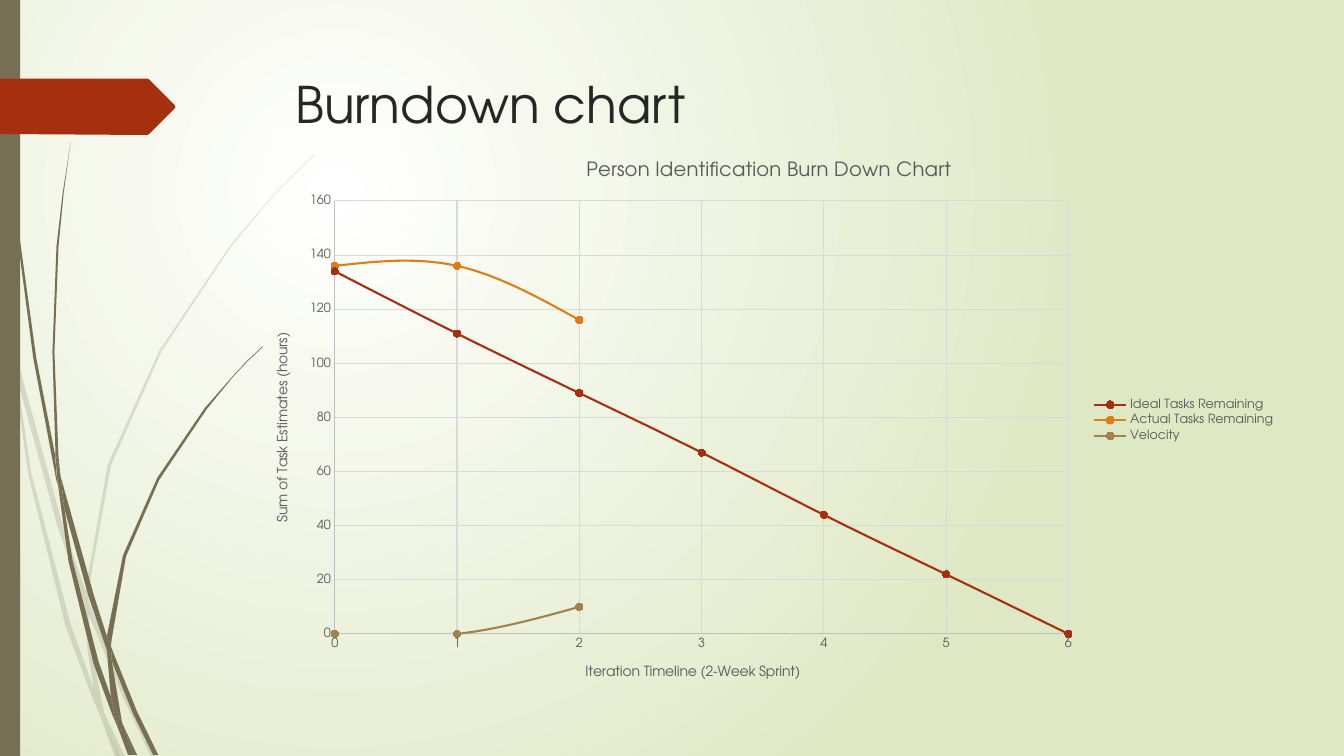
"""Build a slide with a burndown chart."""
import pptx
import pptx.util
import pptx.dml.color
import pptx.chart.data
import pptx.enum.chart
import pptx.enum.shapes
import pptx.oxml
import pptx.oxml.ns

Inches = pptx.util.Inches
Pt = pptx.util.Pt

PALE = [
    "0.11 3.5 0.09 3.22 0 2.82 0 2.99 0.1 3.44",
    "0.57 5.22 0.84 5.99 0.85 5.86 0.62 5.2 0.14 3.45 0.17 3.76",
    "0.92 6.07 0.88 5.96 0.88 6.1 1.23 6.94 1.5 7.51 1.55 7.51 1.27 6.92",
    "1.19 7.51 1.24 7.51 1.05 7.11",
    "0.93 6.83 0.7 6.19 0.31 4.69 0.17 3.76 0.11 3.5 0.28 4.7 0.65 6.21 0.92 6.93 1.01 7.14 0.99 7.07",
    "0.84 5.99 0.87 6.46 0.93 6.83 0.96 6.92 1.05 7.11 1.03 7.06 0.91 6.46 0.88 6.1 0.88 6.08",
    "0.88 5.84 1.1 4.62 1.6 3.49 2.29 2.45 2.68 1.98 2.9 1.75 3.12 1.54 3.12 1.53 2.89 1.75 "
    "2.68 1.97 2.28 2.44 1.58 3.48 1.07 4.61 0.85 5.84 0.85 5.86 0.88 5.96",
    "1.01 7.14 1.14 7.51 1.19 7.51",
    "0.88 6.08 0.88 6.1 0.88 5.96 0.85 5.86 0.84 5.99",
    "0.96 6.92 0.93 6.83 0.99 7.07 1.01 7.14 1.18 7.51 1.19 7.51 1.05 7.11",
]
DARK = [
    "0.07 1.1 0.17 2.33 0.33 3.55 0.56 4.77 0.57 4.81 0.55 4.57 0.55 4.53 0.36 3.55 0.19 2.32 "
    "0.08 1.09 0.05 0.48 0.04 0 0.03 0 0.04 0.48",
    "0.88 5.92 1.06 6.45 1.06 6.33 1.06 6.31 0.93 5.9 0.6 4.72 0.64 5.05",
    "1.13 6.49 1.1 6.41 1.11 6.56 1.32 7.08 1.52 7.49 1.57 7.49 1.36 7.06",
    "1.1 6.91 0.98 6.57 0.72 5.56 0.64 5.05 0.57 4.77 0.68 5.57 0.93 6.59 1.11 7.08 1.17 7.22 1.16 7.17",
    "0.6 4.72 0.58 4.53 0.54 3.49 0.58 2.45 0.63 1.93 0.7 1.41 0.62 1.93 0.56 2.45 0.52 3.49 0.55 4.49",
    "1.33 7.49 1.36 7.49 1.22 7.19",
    "0.57 4.77 0.64 5.05 0.6 4.72 0.55 4.49 0.55 4.53",
    "1.11 6.33 1.25 5.52 1.58 4.76 2.05 4.06 2.31 3.74 2.45 3.59 2.61 3.44 2.6 3.44 2.45 3.58 "
    "2.31 3.73 2.03 4.05 1.56 4.74 1.22 5.51 1.06 6.31 1.1 6.41",
    "1.17 7.22 1.27 7.49 1.31 7.49",
    "1.06 6.45 1.1 6.91 1.16 7.06 1.22 7.19 1.21 7.16 1.11 6.56 1.09 6.51",
    "1.06 6.45 1.09 6.51 1.11 6.56 1.1 6.41 1.06 6.31 1.06 6.33",
    "1.16 7.06 1.1 6.91 1.16 7.17 1.17 7.22 1.3 7.49 1.33 7.49 1.22 7.19",
]
BANNER = "0 0.78 1.46 0.78 1.48 0.79 1.73 1.04 1.74 1.06 1.73 1.08 1.48 1.33 1.46 1.34 0 1.33"
SERIES = [
    ("Ideal Tasks Remaining", "A53010", [134, 111, 89, 67, 44, 22, 0]),
    ("Actual Tasks Remaining", "DE7E18", [136, 136, 116]),
    ("Velocity", "9F8351", [0, 0, 10]),
]


def color(code):
    return pptx.dml.color.RGBColor.from_string(code)


def node(tag, body="", **attrs):
    spaces = pptx.oxml.ns.nsdecls("a", "c")
    extra = " ".join(f'{key}="{val}"' for key, val in attrs.items())
    return pptx.oxml.parse_xml(f"<{tag} {spaces} {extra}>{body}</{tag}>")


def place(parent, index, **parts):
    for old in parent.xpath("c:layout"):
        parent.remove(old)
    body = "".join(f'<c:{name} val="{val}"/>' for name, val in parts.items())
    parent.insert(index, node("c:layout", f"<c:manualLayout>{body}</c:manualLayout>"))


class Deck:
    """Hold the style and the current slide."""

    face = "TeX Gyre Adventor"
    gray = "595959"

    def __init__(self, show):
        self.slide = show.slides.add_slide(show.slide_layouts[6])
        self.shapes = self.slide.shapes

    def font(self, font, size, code):
        font.name, font.size, font.bold = self.face, Pt(size), False
        font.color.rgb = color(code)

    def glow(self, inner, outer):
        fill = self.slide.background.fill
        fill.gradient()
        for stop, code in zip(fill.gradient_stops, (inner, outer)):
            stop.color.rgb = color(code)
        grad = self.slide.element.xpath(".//a:gradFill")[0]
        rect = '<a:fillToRect l="50000" t="50000" r="100000" b="100000"/>'
        for lin in grad.xpath("a:lin"):
            grad.replace(lin, node("a:path", rect, path="circle"))

    def paint(self, shape, code, alpha=100):
        shape.shadow.inherit = False
        shape.fill.solid()
        shape.fill.fore_color.rgb = color(code)
        shape.line.fill.background()
        if alpha < 100:
            tint = shape.element.xpath("p:spPr/a:solidFill/a:srgbClr")[0]
            tint.append(node("a:alpha", val=alpha * 1000))

    def shape(self, text, code, alpha=100):
        nums = [Inches(float(num)) for num in text.split()]
        dots = list(zip(nums[::2], nums[1::2]))
        form = self.shapes.build_freeform(*dots[0], scale=1.0)
        form.add_line_segments(dots[1:], close=True)
        self.paint(form.convert_to_shape(), code, alpha)

    def bar(self, x, y, w, h, code):
        kind = pptx.enum.shapes.MSO_SHAPE.RECTANGLE
        self.paint(self.shapes.add_shape(kind, Inches(x), Inches(y), Inches(w), Inches(h)), code)

    def text(self, x, y, w, h, words, size, code):
        frame = self.shapes.add_textbox(Inches(x), Inches(y), Inches(w), Inches(h)).text_frame
        frame.word_wrap = True
        frame.text = words
        self.font(frame.paragraphs[0].runs[0].font, size, code)

    def label(self, title, words, size, x, y):
        title.text_frame.text = words
        self.font(title.text_frame.paragraphs[0].runs[0].font, size, self.gray)
        place(title.element, 1, xMode="edge", yMode="edge", x=x, y=y)

    def axis(self, axis, top, unit, words, x, y):
        axis.minimum_scale, axis.maximum_scale, axis.major_unit = 0, top, unit
        axis.major_tick_mark = axis.minor_tick_mark = pptx.enum.chart.XL_TICK_MARK.NONE
        axis.has_major_gridlines = True
        for line, code in ((axis.format.line, "BFBFBF"),
                           (axis.major_gridlines.format.line, "D9D9D9")):
            line.color.rgb, line.width = color(code), Pt(0.75)
        self.font(axis.tick_labels.font, 9, self.gray)
        self.label(axis.axis_title, words, 10, x, y)

    def chart(self, x, y, w, h, title, rows):
        data = pptx.chart.data.XyChartData()
        for name, _, vals in rows:
            row = data.add_series(name)
            for step, val in enumerate(vals):
                row.add_data_point(step, val)
        kind = pptx.enum.chart.XL_CHART_TYPE.XY_SCATTER_SMOOTH
        chart = self.shapes.add_chart(kind, Inches(x), Inches(y), Inches(w), Inches(h), data).chart
        self.font(chart.font, 10, "000000")
        self.label(chart.chart_title, title, 14, 0.32, 0.03)
        chart.plots[0].vary_by_categories = False
        for row, (_, code, _) in zip(chart.plots[0].series, rows):
            row.format.line.color.rgb, row.format.line.width = color(code), Pt(1.5)
            mark = row.marker
            mark.style, mark.size = pptx.enum.chart.XL_MARKER_STYLE.CIRCLE, 5
            mark.format.fill.solid()
            mark.format.fill.fore_color.rgb = color(code)
            mark.format.line.color.rgb = color(code)
        for smooth in chart.element.xpath(".//c:ser/c:smooth"):
            smooth.set("val", "1")
        self.axis(chart.category_axis, 6, 1, "Iteration Timeline (2-Week Sprint)", 0.32, 0.93)
        self.axis(chart.value_axis, 160, 20, "Sum of Task Estimates (hours)", 0.02, 0.34)
        chart.has_legend = True
        chart.legend.position = pptx.enum.chart.XL_LEGEND_POSITION.RIGHT
        chart.legend.include_in_layout = False
        self.font(chart.legend.font, 9, self.gray)
        place(chart.element.xpath(".//c:plotArea")[0], 0, layoutTarget="inner",
              xMode="edge", yMode="edge", x=0.08, y=0.11, w=0.71, h=0.77)


def main():
    show = pptx.Presentation()
    show.slide_width, show.slide_height = Inches(13.33), Inches(7.5)
    deck = Deck(show)
    deck.glow("FFFFFF", "DFE8C4")
    for group, alpha in ((PALE, 20), (DARK, 100)):
        for wisp in group:
            deck.shape(wisp, "766F54", alpha)
    deck.bar(0, 0, 0.2, 7.5, "766F54")
    deck.shape(BANNER, "A53010")
    deck.text(2.83, 0.68, 9.74, 1.4, "Burndown chart", 36, "262626")
    deck.chart(2.5, 1.38, 10.25, 5.58, "Person Identification Burn Down Chart", SERIES)
    show.save("out.pptx")


if __name__ == "__main__":
    main()
